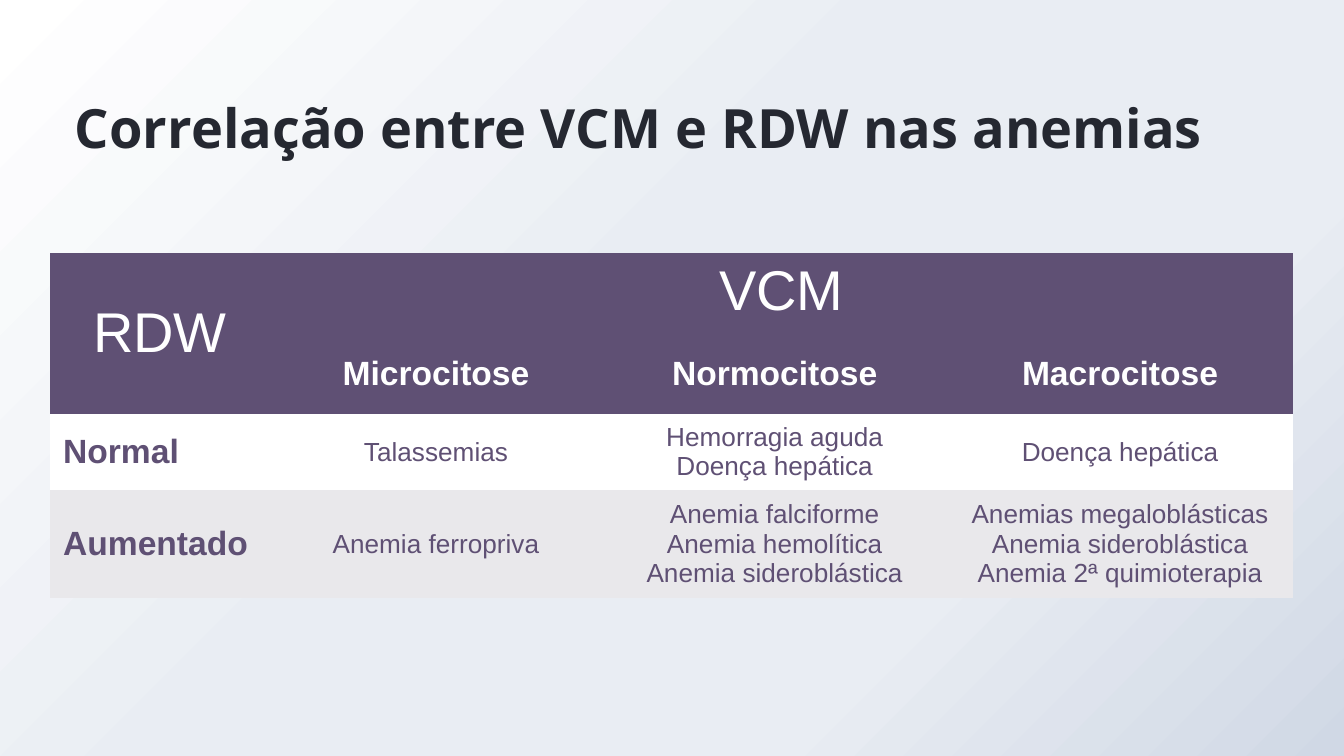
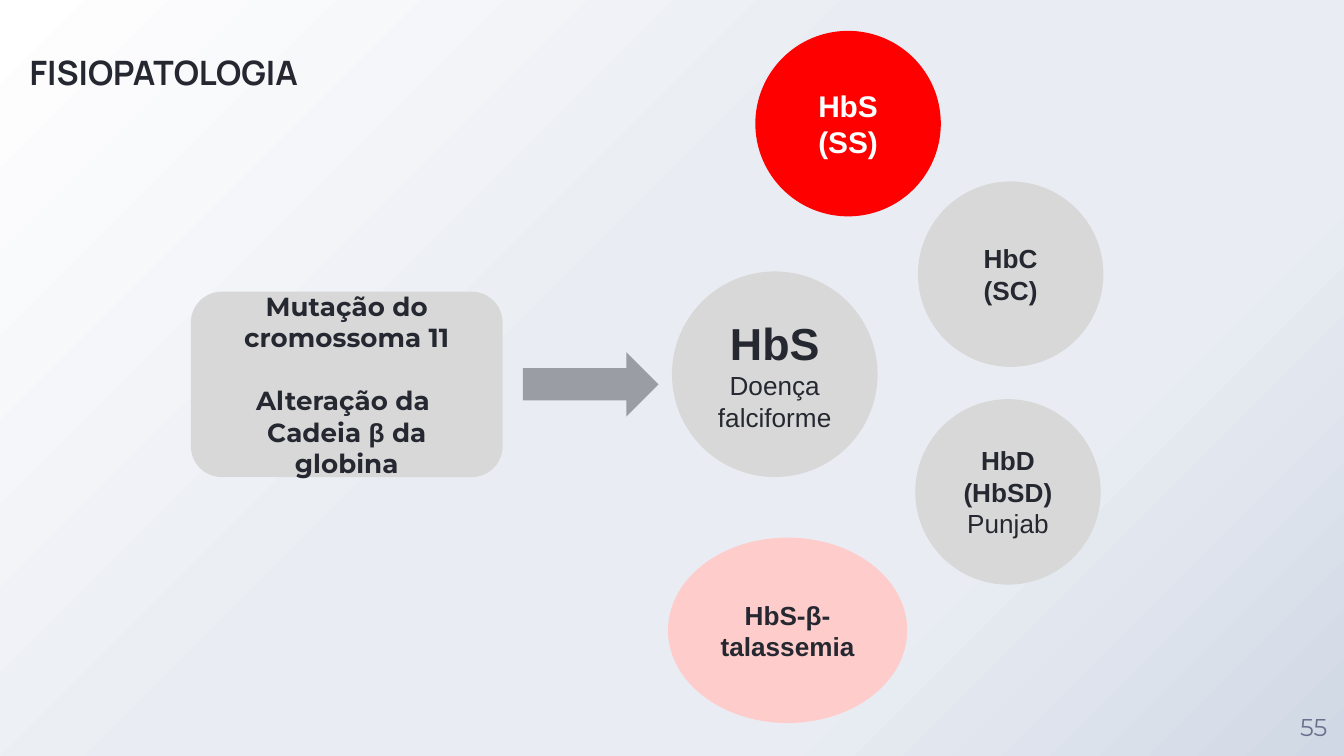
import pptx
import pptx.util
import pptx.oxml
import pptx.dml.color
import pptx.enum.shapes
import pptx.enum.text

Inches = pptx.util.Inches
Pt = pptx.util.Pt
MSO = pptx.enum.shapes.MSO_SHAPE
ANCHOR = pptx.enum.text.MSO_ANCHOR
ALIGN = pptx.enum.text.PP_ALIGN

COLORS = {
    "white": "FFFFFF", "mist": "E9EDF3", "steel": "D0D8E5",
    "ink": "252831", "number": "68728D", "purple": "5F5074",
    "band": "E9E8EB", "node": "D8D8D8", "red": "FF0000",
    "pink": "FFCCCC", "arrow": "9A9EA4",
}
BACKGROUND_STOPS = [(0, "white"), (44, "mist"), (72, "mist"), (100, "steel")]
PLAIN_TABLE_STYLE = "{2D5ABB26-0587-4C30-8999-92F81FD0307C}"

# Text formats: font name, size, weight and colour
FORMATS = {
    "table title": dict(name="Noto Sans", size=Pt(29), bold=True, color="ink"),
    "topic title": dict(name="Manrope", size=Pt(18), bold=True, color="ink"),
    "page": dict(name="Montserrat", size=Pt(13), bold=False, color="number"),
    "axis": dict(name="Arial", size=Pt(30), bold=False, color="white"),
    "column": dict(name="Arial", size=Pt(18), bold=True, color="white"),
    "row": dict(name="Arial", size=Pt(18), bold=True, color="purple"),
    "disease": dict(name="Arial", size=Pt(14), bold=False, color="purple"),
    "cause": dict(name="Montserrat", size=Pt(14), bold=True, color="ink"),
    "main": dict(name="Arial", size=Pt(24), bold=True, color="ink"),
    "strong": dict(name="Arial", size=Pt(14), bold=True, color="ink"),
    "plain": dict(name="Arial", size=Pt(14), bold=False, color="ink"),
    "highlight": dict(name="Arial", size=Pt(16), bold=True, color="white"),
}


def rgb(color):
    return pptx.dml.color.RGBColor.from_string(COLORS[color])


def apply_format(font, style):
    for attribute, value in FORMATS[style].items():
        if attribute == "color":
            font.color.rgb = rgb(value)
        else:
            setattr(font, attribute, value)


def write(frame, paragraphs, align=ALIGN.CENTER):
    """Each paragraph is a list of (text, style) runs."""
    for index, runs in enumerate(paragraphs):
        paragraph = frame.add_paragraph() if index else frame.paragraphs[0]
        paragraph.alignment = align
        for text, style in runs:
            run = paragraph.add_run()
            run.text = text
            apply_format(run.font, style)


def set_frame(frame, anchor, inset_x, inset_y):
    settings = dict(
        word_wrap=True, vertical_anchor=anchor,
        margin_left=Inches(inset_x), margin_right=Inches(inset_x),
        margin_top=Inches(inset_y), margin_bottom=Inches(inset_y))
    for attribute, value in settings.items():
        setattr(frame, attribute, value)


def add_label(slide, box, text, style, anchor, inset=0, align=ALIGN.LEFT):
    frame = slide.shapes.add_textbox(*map(Inches, box)).text_frame
    set_frame(frame, anchor, inset, inset)
    write(frame, [[(text, style)]], align)


def add_node(slide, kind, box, color, paragraphs=()):
    node = slide.shapes.add_shape(kind, *map(Inches, box))
    node.shadow.inherit = False
    node.fill.solid()
    node.fill.fore_color.rgb = rgb(color)
    node.line.fill.background()
    set_frame(node.text_frame, ANCHOR.MIDDLE, 0.1, 0.05)
    write(node.text_frame, paragraphs)
    return node


def new_slide(deck):
    slide = deck.slides.add_slide(deck.slide_layouts[6])
    # Shared gradient that spreads from the top left corner
    slide.background.fill.gradient()
    stops = "".join(
        f'<a:gs pos="{percent * 1000}"><a:srgbClr val="{COLORS[color]}"/></a:gs>'
        for percent, color in BACKGROUND_STOPS)
    gradient = pptx.oxml.parse_xml(
        '<a:gradFill xmlns:a="http://schemas.openxmlformats.org/drawingml/2006/main">'
        f'<a:gsLst>{stops}</a:gsLst><a:path path="circle">'
        '<a:fillToRect r="100000" b="100000"/></a:path></a:gradFill>')
    default = slide.element.xpath(".//a:gradFill")[0]
    default.getparent().replace(default, gradient)
    return slide


def fill_cell(cell, lines, style, fill, align=ALIGN.CENTER, anchor=ANCHOR.MIDDLE):
    cell.fill.solid()
    cell.fill.fore_color.rgb = rgb(fill)
    cell.vertical_anchor = anchor
    write(cell.text_frame, [[(line, style)] for line in lines], align)


def add_anemia_table(slide, box):
    widths = [1.64, 2.47, 2.57, 2.57]
    sizes = ["Microcitose", "Normocitose", "Macrocitose"]
    body = [
        ("Normal", "white", [
            ["Talassemias"],
            ["Hemorragia aguda", "Doença hepática"],
            ["Doença hepática"]]),
        ("Aumentado", "band", [
            ["Anemia ferropriva"],
            ["Anemia falciforme", "Anemia hemolítica", "Anemia sideroblástica"],
            ["Anemias megaloblásticas", "Anemia sideroblástica",
             "Anemia 2ª quimioterapia"]]),
    ]
    holder = slide.shapes.add_table(
        2 + len(body), len(widths), *map(Inches, box))
    holder.element.xpath(".//a:tableStyleId")[0].text = PLAIN_TABLE_STYLE
    table = holder.table
    for column, width in zip(table.columns, widths):
        column.width = Inches(width)
    # Rows start low and grow with their text
    for row in table.rows:
        row.height = Inches(0.41)

    # Header: RDW spans two rows, VCM spans the three sizes
    table.cell(0, 0).merge(table.cell(1, 0))
    table.cell(0, 1).merge(table.cell(0, 3))
    fill_cell(table.cell(0, 0), ["RDW"], "axis", "purple")
    fill_cell(table.cell(0, 1), ["VCM"], "axis", "purple", anchor=ANCHOR.TOP)
    for column, size in enumerate(sizes, 1):
        fill_cell(table.cell(1, column), [size], "column", "purple")

    # Body: one row for each RDW level
    for row, (level, fill, diseases) in enumerate(body, 2):
        fill_cell(table.cell(row, 0), [level], "row", fill, ALIGN.LEFT)
        for column, lines in enumerate(diseases, 1):
            fill_cell(table.cell(row, column), lines, "disease", fill)


def add_cause(slide, left, top):
    cause = add_node(slide, MSO.ROUNDED_RECTANGLE, (left, top, 2.32, 1.38), "node", [
        [("Mutação do cromossoma 11", "cause")],
        [("Alteração da ", "cause")],
        [("Cadeia ", "cause"), ("β", "strong"), (" da globina", "cause")]])
    cause.adjustments[0] = 0.167
    cause.text_frame.paragraphs[1].space_before = Pt(17)
    add_node(slide, MSO.RIGHT_ARROW, (left + 2.47, top + 0.45, 1.01, 0.48), "arrow")


def add_hemoglobins(slide, left, top):
    # Offset, size, fill and text of each variant
    variants = [
        (0.03, 1.79, 1.53, 1.53, "node",
         [("HbS", "main"), ("Doença falciforme", "plain")]),
        (0.65, 0, 1.38, 1.38, "red", [("HbS (SS)", "highlight")]),
        (1.84, 2.74, 1.38, 1.38, "node",
         [("HbD", "strong"), ("(HbSD)", "strong"), ("Punjab", "plain")]),
        (1.86, 1.12, 1.38, 1.38, "node", [("HbC", "strong"), ("(SC)", "strong")]),
        (0, 3.77, 1.78, 1.38, "pink",
         [("HbS-β-", "strong"), ("talassemia", "strong")]),
    ]
    for x, y, width, height, color, lines in variants:
        add_node(slide, MSO.OVAL, (left + x, top + y, width, height), color,
                 [[line] for line in lines])


def build_correlation(deck):
    slide = new_slide(deck)
    add_label(slide, (0.46, 0.6, 8.76, 0.63), "Correlação entre VCM e RDW nas anemias",
              "table title", ANCHOR.TOP, inset=0.1)
    add_anemia_table(slide, (0.37, 1.88, 3.28, 3.28))


def build_pathophysiology(deck):
    slide = new_slide(deck)
    add_label(slide, (0.22, 0.21, 3.92, 0.48), "FISIOPATOLOGIA",
              "topic title", ANCHOR.BOTTOM)
    add_label(slide, (9.55, 5.18, 0.45, 0.45), "55", "page", ANCHOR.MIDDLE,
              align=ALIGN.CENTER)
    add_cause(slide, 1.42, 2.17)
    add_hemoglobins(slide, 4.97, 0.23)


def main():
    deck = pptx.Presentation()
    deck.slide_width = Inches(10)
    deck.slide_height = Inches(10) * 9 // 16
    build_correlation(deck)
    build_pathophysiology(deck)
    deck.save("out.pptx")


if __name__ == "__main__":
    main()
